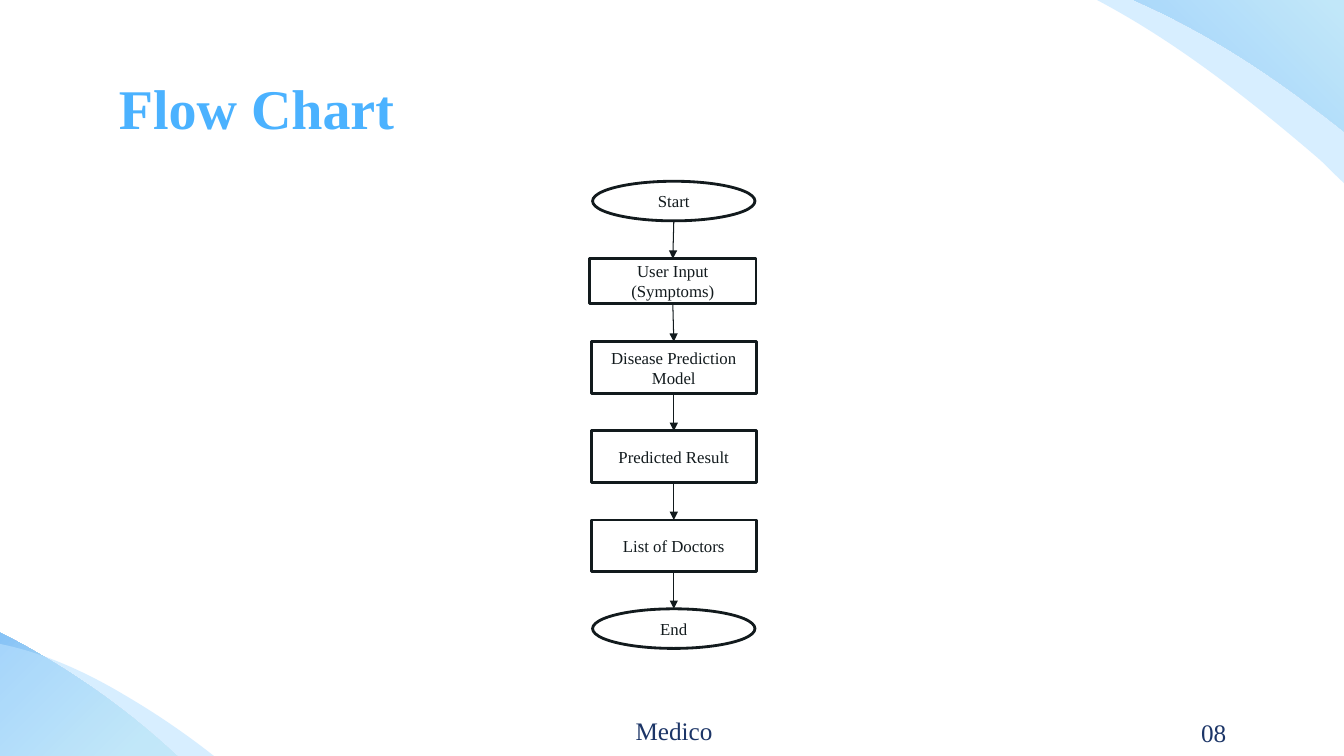
from lxml import etree
from pptx import Presentation
from pptx.dml.color import RGBColor
from pptx.enum.shapes import MSO_CONNECTOR as Connector, MSO_SHAPE as Shape
from pptx.enum.text import MSO_ANCHOR as Anchor, PP_ALIGN as Align
from pptx.oxml import parse_xml
from pptx.oxml.ns import nsdecls, qn
from pptx.util import Pt

INK, NAVY, SKY, PALE, WHITE = "121A1D", "1C3567", "4BB2FF", "BBE2FF", "FFFFFF"
WAVE_STOPS = [(0, "E5ECEF"), (28, "CBEFF2"), (66, "77B8F7"), (100, "0885FF")]

# Wave outlines in points: a start, then cubic curves (two handles and an end)
TOP_WAVE = [
    (1072, 108), (1072, 96), (1070, 84), (1066, 74), (1056, 43), (1032, 17), (1004, 0),
    (976, -17), (944, -27), (912, -33), (842, -47), (770, -47.5), (701, -33),
    (730, -26), (760, -19), (788, -9), (817, 2), (845, 16), (872, 32),
    (919, 60), (963, 95), (1005, 131), (1020, 144), (1045, 178), (1061, 150),
    (1068, 138), (1072, 122), (1072, 108)]
BOTTOM_WAVE = [
    (-184, 467), (-176, 459), (-167, 451), (-158, 446), (-130, 429), (-94, 425.5), (-62, 431),
    (-30, 437), (1, 451), (29.5, 468), (91, 504), (145, 551), (187, 608),
    (161, 594), (134, 580), (106, 569), (77, 557), (47, 549), (16, 543),
    (-38, 532), (-94, 529), (-150, 529), (-169, 528), (-211, 537), (-204, 506),
    (-202, 492), (-194, 479), (-184, 467)]

STEPS = [  # label, shape, then left, top, width and height within the chart
    ("Start", Shape.OVAL, (2.1, 0, 116, 28.3)),
    ("User Input\n(Symptoms)", Shape.RECTANGLE, (0, 55.3, 118.8, 32)),
    ("Disease Prediction\nModel", Shape.RECTANGLE, (1.2, 114.6, 117.8, 36.8)),
    ("Predicted Result", Shape.RECTANGLE, (1.2, 178.3, 117.8, 36.8)),
    ("List of Doctors", Shape.RECTANGLE, (1.2, 242, 117.8, 36.8)),
    ("End", Shape.OVAL, (2.1, 305.4, 116, 28.3)),
]


def colour(value):
    return RGBColor.from_string(value)


def write(frame, text, size, ink, bold=False, align=Align.LEFT, anchor=Anchor.TOP):
    frame.word_wrap = True
    frame.vertical_anchor = anchor
    frame.text = text
    for line in frame.paragraphs:
        line.alignment = align
        for run in line.runs:
            run.font.name, run.font.size, run.font.bold = "Times New Roman", Pt(size), bold
            run.font.color.rgb = colour(ink)


def place(item, box):
    item.left, item.top, item.width, item.height = (Pt(v) for v in box)


def wave(slide, outline, dx=0, dy=0):
    points = [(Pt(x + dx), Pt(y + dy)) for x, y in outline]
    builder = slide.shapes.build_freeform(*points[0])
    builder.add_line_segments(points[1:], close=True)
    shape = builder.convert_to_shape()
    # Join every three straight segments into one cubic curve
    segments = list(shape._element.iter(qn("a:lnTo")))
    for i in range(0, len(outline) - 1, 3):
        curve = etree.Element(qn("a:cubicBezTo"))
        segments[i].addprevious(curve)
        for segment in segments[i:i + 3]:
            curve.append(segment[0])
    for segment in segments:
        segment.getparent().remove(segment)
    shape.shadow.inherit = False
    shape.line.fill.background()
    shape.fill.solid()
    shape.fill.fore_color.rgb = colour(PALE)
    return shape


def corner(slide, outline, angle, veil_shift):
    # Gradient wave
    base = wave(slide, outline)
    stops = "".join(f'<a:gs pos="{at * 1000}"><a:srgbClr val="{tint}"/></a:gs>'
                    for at, tint in WAVE_STOPS)
    gradient = parse_xml(f'<a:gradFill {nsdecls("a")} rotWithShape="1"><a:gsLst>{stops}</a:gsLst>'
                         f'<a:lin ang="{angle * 60000}" scaled="0"/></a:gradFill>')
    properties = base._element.spPr
    properties.replace(properties.find(qn("a:solidFill")), gradient)
    # Translucent veil over it
    veil = wave(slide, outline, *veil_shift)
    tint = veil._element.spPr.find(qn("a:solidFill"))[0]
    etree.SubElement(tint, qn("a:alpha")).set("val", "58000")


def heading(slide, box):
    title = slide.shapes.title
    place(title, box)
    frame = title.text_frame
    frame.margin_left = frame.margin_right = frame.margin_top = frame.margin_bottom = Pt(9.5)
    write(frame, "Flow Chart", 40, SKY, bold=True, anchor=Anchor.MIDDLE)


def arrow(slide, start, end):
    link = slide.shapes.add_connector(Connector.STRAIGHT, *(Pt(v) for v in start + end))
    link.line.width = Pt(0.75)
    link.line.color.rgb = colour(INK)
    etree.SubElement(link.line._get_or_add_ln(), qn("a:tailEnd")).set("type", "triangle")
    etree.SubElement(link._element.spPr, qn("a:effectLst"))


def flow_chart(slide, left, top):
    exit_point = None
    for label, kind, (x, y, width, height) in STEPS:
        step = slide.shapes.add_shape(kind, Pt(left + x), Pt(top + y), Pt(width), Pt(height))
        step.shadow.inherit = False
        step.fill.solid()
        step.fill.fore_color.rgb = colour(WHITE)
        step.line.color.rgb = colour(INK)
        step.line.width = Pt(2)
        write(step.text_frame, label, 12, INK, align=Align.CENTER, anchor=Anchor.MIDDLE)
        middle = left + x + width / 2
        if exit_point:
            arrow(slide, exit_point, (middle, top + y))
        exit_point = (middle, top + y + height)


def footer(slide, box):
    left, top, width, height = box
    name = slide.shapes.add_textbox(Pt(left), Pt(top), Pt(371.5), Pt(height))
    write(name.text_frame, "Medico", 18, NAVY, align=Align.CENTER)
    number_width = 103
    number = slide.shapes.add_textbox(Pt(left + width - number_width), Pt(top + 1),
                                      Pt(number_width), Pt(height))
    write(number.text_frame, "08", 18, NAVY, align=Align.RIGHT)


def main():
    deck = Presentation()
    deck.slide_width, deck.slide_height = Pt(960), Pt(540)
    slide = deck.slides.add_slide(deck.slide_layouts[5])
    slide.background.fill.solid()
    slide.background.fill.fore_color.rgb = colour(WHITE)
    corner(slide, TOP_WAVE, 135, (-63.5, -18))
    corner(slide, BOTTOM_WAVE, 225, (59.5, 28.5))
    heading(slide, (75.5, 46.5, 808.5, 60.5))
    flow_chart(slide, 421.2, 129.5)
    footer(slide, (295.7, 507.5, 587.3, 29))
    deck.save("out.pptx")


if __name__ == "__main__":
    main()
